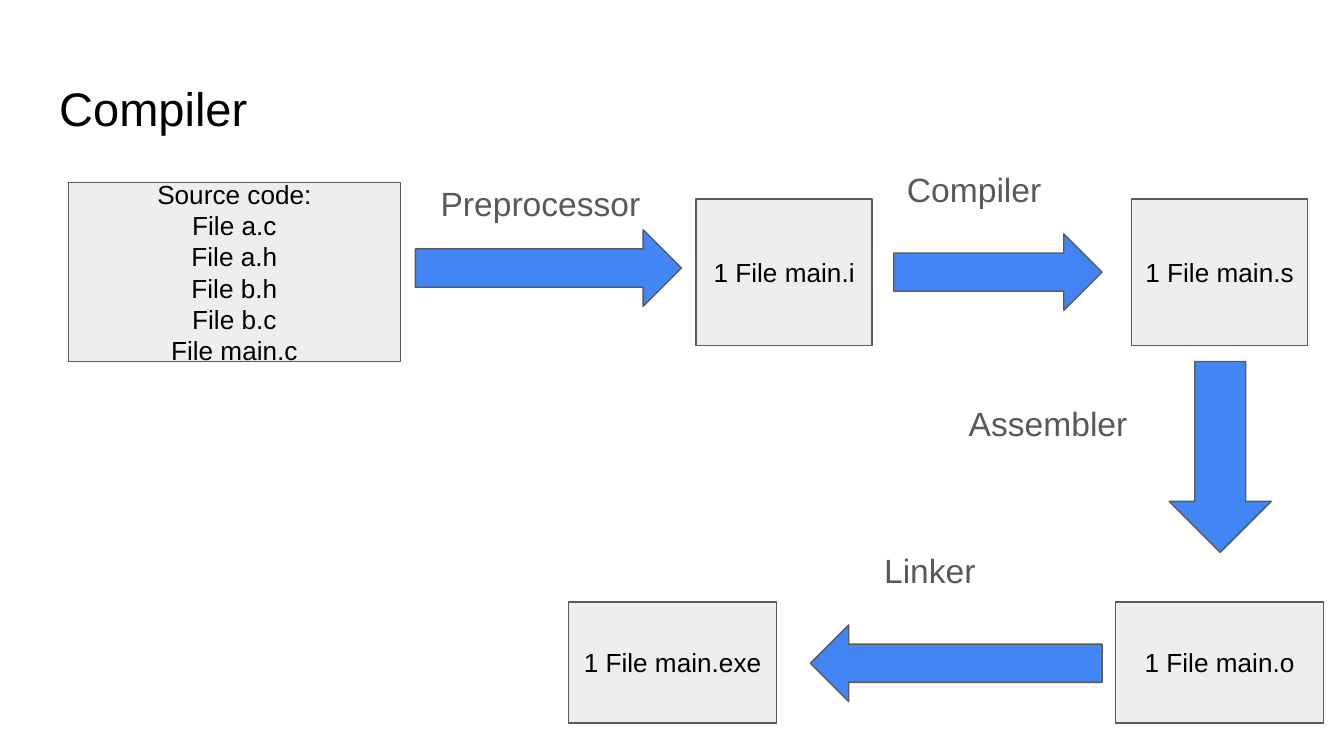
from pptx import Presentation
from pptx.dml.color import RGBColor
from pptx.enum.shapes import MSO_SHAPE as Shape
from pptx.enum.text import MSO_ANCHOR as Anchor, MSO_AUTO_SIZE as AutoSize, PP_ALIGN as Align
from pptx.util import Inches, Pt

THEME = {
    "font": "Arial",
    "text": "000000", "label": "595959", "line": "595959",
    "box": "EEEEEE", "arrow": "4285F4",
    "title_size": 25.2, "label_size": 18, "box_size": 14,
    "line_width": 0.75, "inset": 0.1,
}

SLIDE_WIDTH = 10
SLIDE_HEIGHT = SLIDE_WIDTH * 9 / 16

TITLE = ("Compiler", (0.34, 0.49, 9.32, 0.63))

# Positions are left, top, width, height in inches.
FILES = [
    (["Source code:", "File a.c", "File a.h", "File b.h", "File b.c", "File main.c"],
     (0.51, 1.36, 2.47, 1.33)),
    (["1 File main.i"], (5.18, 1.48, 1.31, 1.09)),
    (["1 File main.s"], (8.42, 1.48, 1.31, 1.09)),
    (["1 File main.o"], (8.3, 4.48, 1.55, 0.9)),
    (["1 File main.exe"], (4.23, 4.48, 1.55, 0.9)),
]

# Step name, label position, arrow shape, arrow rotation, arrow position
STEPS = [
    ("Preprocessor", (3.18, 1.26, 1.88, 0.57), Shape.RIGHT_ARROW, 0, (3.09, 1.71, 1.98, 0.57)),
    ("Compiler", (6.65, 1.16, 1.5, 0.57), Shape.RIGHT_ARROW, 0, (6.65, 1.74, 1.55, 0.57)),
    ("Assembler", (7.11, 2.9, 1.5, 0.57), Shape.DOWN_ARROW, 0, (8.7, 2.69, 0.76, 1.42)),
    ("Linker", (6.48, 3.99, 1.5, 0.57), Shape.RIGHT_ARROW, 180, (6.03, 4.65, 2.17, 0.57)),
]


def inches(position):
    return [Inches(value) for value in position]


def write_text(shape, lines, size, color="text", align=Align.LEFT, anchor=Anchor.TOP):
    frame = shape.text_frame
    frame.word_wrap = True
    frame.auto_size = AutoSize.NONE
    frame.vertical_anchor = anchor
    frame.margin_left = frame.margin_right = Inches(THEME["inset"])
    frame.margin_top = frame.margin_bottom = Inches(THEME["inset"])
    for index, line in enumerate(lines):
        paragraph = frame.add_paragraph() if index else frame.paragraphs[0]
        paragraph.alignment = align
        paragraph.line_spacing = 1.0
        paragraph.space_before = Pt(0)
        run = paragraph.add_run()
        run.text = line
        run.font.name = THEME["font"]
        run.font.size = Pt(THEME[size])
        run.font.color.rgb = RGBColor.from_string(THEME[color])


def add_outlined_shape(slide, kind, position, fill):
    shape = slide.shapes.add_shape(kind, *inches(position))
    shape.shadow.inherit = False
    shape.fill.solid()
    shape.fill.fore_color.rgb = RGBColor.from_string(THEME[fill])
    shape.line.color.rgb = RGBColor.from_string(THEME["line"])
    shape.line.width = Pt(THEME["line_width"])
    return shape


def main():
    presentation = Presentation()
    presentation.slide_width = Inches(SLIDE_WIDTH)
    presentation.slide_height = Inches(SLIDE_HEIGHT)
    slide = presentation.slides.add_slide(presentation.slide_layouts.get_by_name("Title Only"))

    title_text, title_position = TITLE
    title = slide.shapes.title
    title.left, title.top, title.width, title.height = inches(title_position)
    write_text(title, [title_text], "title_size")

    for lines, position in FILES:
        box = add_outlined_shape(slide, Shape.RECTANGLE, position, "box")
        write_text(box, lines, "box_size", align=Align.CENTER, anchor=Anchor.MIDDLE)

    for name, label_position, kind, rotation, arrow_position in STEPS:
        arrow = add_outlined_shape(slide, kind, arrow_position, "arrow")
        arrow.rotation = rotation
        label = slide.shapes.add_textbox(*inches(label_position))
        write_text(label, [name], "label_size", color="label")

    presentation.save("out.pptx")


if __name__ == "__main__":
    main()
